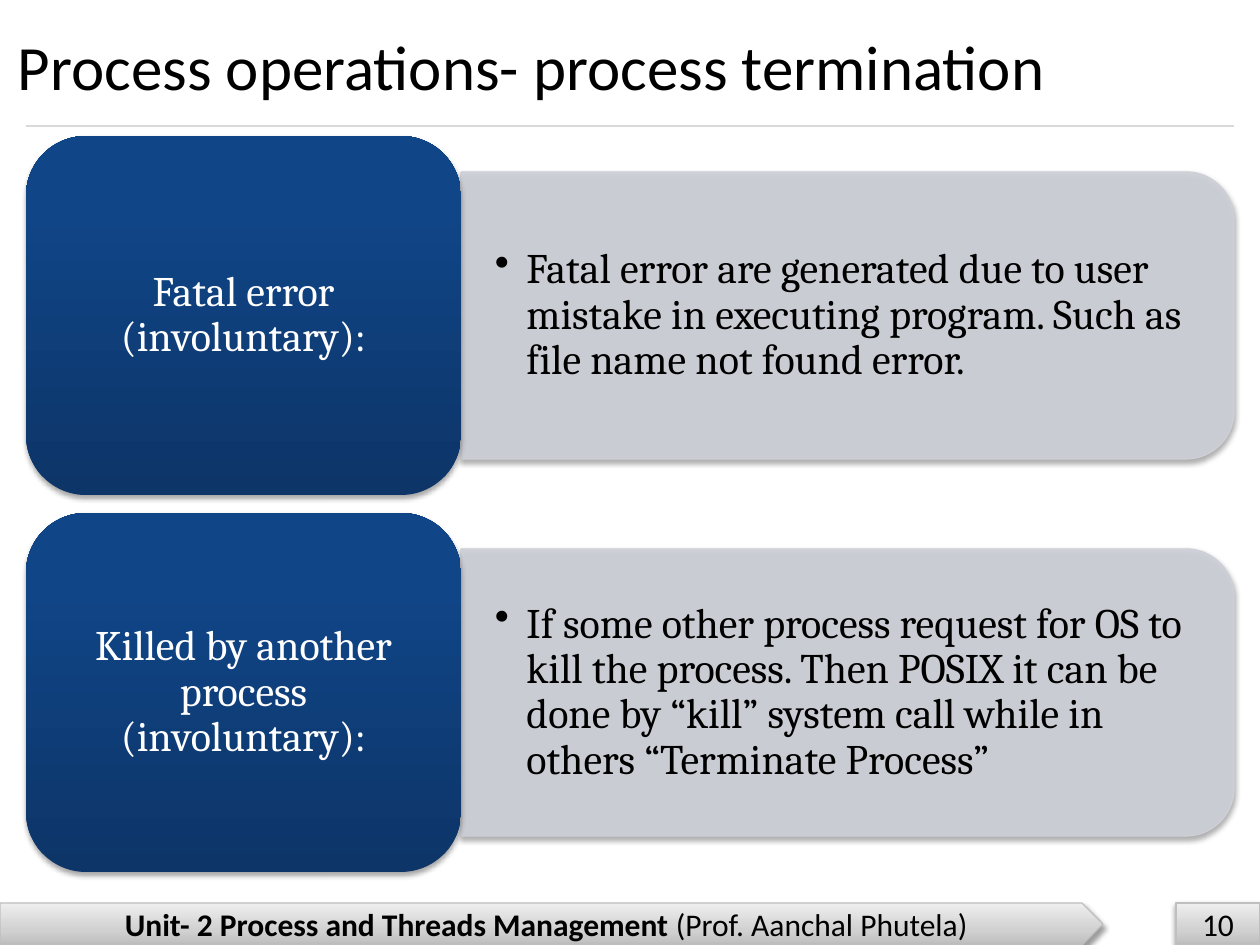
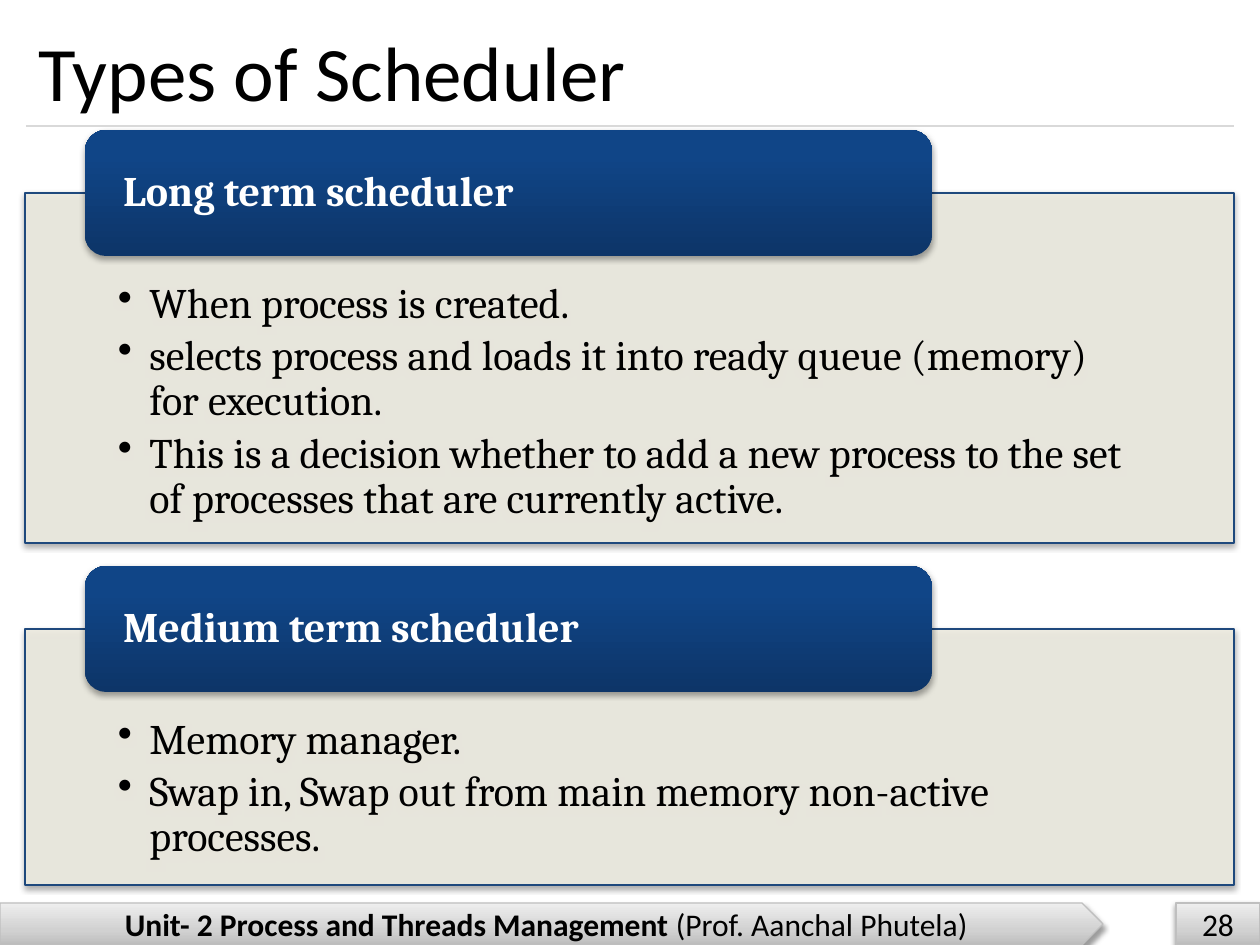
from lxml import etree
from pptx import Presentation
from pptx.dml.color import RGBColor
from pptx.enum.shapes import MSO_CONNECTOR, MSO_SHAPE
from pptx.enum.text import MSO_ANCHOR, PP_ALIGN
from pptx.oxml.ns import qn
from pptx.util import Emu, Pt

PX = 914400 / 126
SLIDE_W, SLIDE_H = 1260, 945

BLACK = RGBColor(0x00, 0x00, 0x00)
WHITE = RGBColor(0xFF, 0xFF, 0xFF)
NAVY = RGBColor(0x1F, 0x49, 0x7D)
MIST = RGBColor(0xCD, 0xD0, 0xD7)
CREAM = RGBColor(0xEE, 0xEC, 0xE1)
RULE_GREY = RGBColor(0xD9, 0xD9, 0xD9)
BAND_EDGE = RGBColor(0xBF, 0xBF, 0xBF)

# Gradient stops from bottom to top: percent, colour
BAND_GREYS = [(0, RGBColor(0xBD, 0xBD, 0xBD)), (35, RGBColor(0xD1, 0xD1, 0xD1)),
              (100, RGBColor(0xEE, 0xEE, 0xEE))]
LABEL_BLUES = [(0, RGBColor(0x0D, 0x35, 0x68)), (80, RGBColor(0x10, 0x45, 0x87)),
               (100, RGBColor(0x0E, 0x45, 0x8A))]

RECT, ROUND_RECT = MSO_SHAPE.RECTANGLE, MSO_SHAPE.ROUNDED_RECTANGLE
PENTAGON, ROUND_TOP = MSO_SHAPE.PENTAGON, MSO_SHAPE.ROUND_2_SAME_RECTANGLE
LEFT, CENTER = PP_ALIGN.LEFT, PP_ALIGN.CENTER
TOP, MIDDLE = MSO_ANCHOR.TOP, MSO_ANCHOR.MIDDLE
STRAIGHT = MSO_CONNECTOR.STRAIGHT

HEADING_FONT, BODY_FONT = "Calibri", "Cambria"
DEFAULT_INSETS = (13, 6, 13, 6)


def px(length):
    return Emu(round(length * PX))


# ---- Shared styling ----
def add_child(parent, tag, **attributes):
    return etree.SubElement(parent, qn(tag), {k: str(v) for k, v in attributes.items()})


def fill_gradient(shape, stops):
    shape.fill.gradient()
    shape.fill.gradient_angle = 90
    stop_list = shape.element.spPr.find(qn("a:gradFill")).find(qn("a:gsLst"))
    for old_stop in list(stop_list):
        stop_list.remove(old_stop)
    for percent, color in stops:
        stop = add_child(stop_list, "a:gs", pos=percent * 1000)
        add_child(stop, "a:srgbClr", val=color)


def fill_translucent(shape, color):
    shape.fill.solid()
    shape.fill.fore_color.rgb = color
    solid = shape.element.spPr.find(qn("a:solidFill"))
    add_child(solid[0], "a:alpha", val=90000)


def add_block(slide, kind, box, fill, edge=None, shadow_alpha=35):
    """A shape with a soft shadow; a list of stops makes a gradient."""
    block = slide.shapes.add_shape(kind, *map(px, box))
    block.shadow.inherit = False
    if isinstance(fill, list):
        fill_gradient(block, fill)
    else:
        fill_translucent(block, fill)
    if edge is None:
        block.line.fill.background()
    else:
        block.line.color.rgb = edge
        block.line.width = Pt(0.75)
    effects = block.element.spPr.find(qn("a:effectLst"))
    shadow = add_child(effects, "a:outerShdw", blurRad=40000, dist=23000,
                       dir=5400000, rotWithShape=0)
    color = add_child(shadow, "a:srgbClr", val=BLACK)
    add_child(color, "a:alpha", val=shadow_alpha * 1000)
    return block


def write(shape, paragraphs, size, font, color=BLACK, align=LEFT, anchor=MIDDLE,
          insets=DEFAULT_INSETS, spacing=None, bullets=False):
    """Each paragraph is a list of (text, bold) runs."""
    frame = shape.text_frame
    frame.word_wrap = True
    frame.vertical_anchor = anchor
    (frame.margin_left, frame.margin_top,
     frame.margin_right, frame.margin_bottom) = map(px, insets)
    for index, runs in enumerate(paragraphs):
        paragraph = frame.add_paragraph() if index else frame.paragraphs[0]
        paragraph.alignment = align
        if spacing:
            paragraph.line_spacing = spacing
        if bullets:
            paragraph.space_after = Pt(4)
            properties = paragraph._p.get_or_add_pPr()
            properties.set("marL", "228600")
            properties.set("indent", "-228600")
            add_child(properties, "a:buChar", char="•")
        for text, bold in runs:
            run = paragraph.add_run()
            run.text = text
            run.font.size = Pt(size)
            run.font.name = font
            run.font.bold = bold
            run.font.color.rgb = color


def add_frame(prs, title, title_box, title_size, number):
    """Title, rule and footer band that every slide carries."""
    slide = prs.slides.add_slide(prs.slide_layouts[6])

    # Footer band and page number
    unit = add_block(slide, PENTAGON, (0, 903, 1103, 42), BAND_GREYS, BAND_EDGE, 38)
    write(unit, [[("Unit- 2 Process and Threads Management ", True),
                  ("(Prof. Aanchal Phutela)", False)]], 18, HEADING_FONT, align=CENTER)
    page = add_block(slide, RECT, (1176, 903, 84, 42), BAND_GREYS, BAND_EDGE, 38)
    write(page, [[(str(number), False)]], 18, HEADING_FONT, align=CENTER)

    # Rule under the title
    rule = slide.shapes.add_connector(STRAIGHT, px(26), px(126), px(1234), px(126))
    rule.line.color.rgb = RULE_GREY
    rule.line.width = Pt(0.75)
    add_child(rule.element.spPr, "a:effectLst")

    heading = slide.shapes.add_textbox(*map(px, title_box))
    write(heading, [[(title, False)]], title_size, HEADING_FONT)
    return slide


# ---- Slide 1: causes of termination ----
def add_cause(slide, box, cause, explanation):
    left, top, width, height = box
    label_w, panel_h = 435, 287
    panel_left, panel_w = left + label_w, width - label_w
    panel_top = top + (height - panel_h) / 2

    # The panel is turned a quarter so its round corners face right
    turn = (panel_w - panel_h) / 2
    panel = add_block(slide, ROUND_TOP,
                      (panel_left + turn, panel_top - turn, panel_h, panel_w), MIST, MIST)
    panel.rotation = 90
    details = slide.shapes.add_textbox(
        *map(px, (panel_left, panel_top + 14, panel_w - 14, panel_h - 28)))
    write(details, [[(explanation, False)]], 24, BODY_FONT,
          insets=(34, 18, 34, 18), spacing=0.9, bullets=True)

    label = add_block(slide, ROUND_RECT, (left, top, label_w, height), LABEL_BLUES)
    write(label, [[(cause, False)]], 24, BODY_FONT, WHITE, CENTER, spacing=0.9)


def build_termination(prs):
    slide = add_frame(prs, "Process operations- process termination",
                      (5, 10, 1207, 111), 36, 10)
    causes = [
        ("Fatal error (involuntary):",
         "Fatal error are generated due to user mistake in executing program. "
         "Such as file name not found error."),
        ("Killed by another process (involuntary):",
         "If some other process request for OS to kill the process. Then POSIX it can be "
         "done by “kill” system call while in others “Terminate Process”"),
    ]
    for row, (cause, explanation) in enumerate(causes):
        add_cause(slide, (26, 136 + 377 * row, 1208, 359), cause, explanation)


# ---- Slide 2: scheduler types ----
def add_scheduler(slide, box, name, duties):
    left, top, width, height = box
    tab_h = 126
    panel = add_block(slide, RECT, (left, top + tab_h / 2, width, height - tab_h / 2),
                      CREAM, NAVY)
    write(panel, [[(duty, False)] for duty in duties], 24, BODY_FONT, anchor=TOP,
          insets=(93, 89, 93, 24), spacing=0.9, bullets=True)

    tab = add_block(slide, ROUND_RECT, (left + 60, top, 847, tab_h), LABEL_BLUES)
    write(tab, [[(name, True)]], 24, BODY_FONT, WHITE, insets=(32, 0, 32, 0), spacing=0.9)


def build_schedulers(prs):
    slide = add_frame(prs, "Types of Scheduler", (26, 15, 1207, 111), 44, 28)
    schedulers = [
        ("Long term scheduler", 413,
         ["When process is created.",
          "selects process and loads it into ready queue (memory) for execution.",
          "This is a decision whether to add a new process to the set of processes "
          "that are currently active."]),
        ("Medium term scheduler", 319,
         ["Memory manager.",
          "Swap in, Swap out from main memory non-active processes."]),
    ]
    top, gap = 130, 23
    for name, height, duties in schedulers:
        add_scheduler(slide, (25, top, 1209, height), name, duties)
        top += height + gap


def main():
    prs = Presentation()
    prs.slide_width, prs.slide_height = px(SLIDE_W), px(SLIDE_H)
    build_termination(prs)
    build_schedulers(prs)
    prs.save("out.pptx")


if __name__ == "__main__":
    main()
